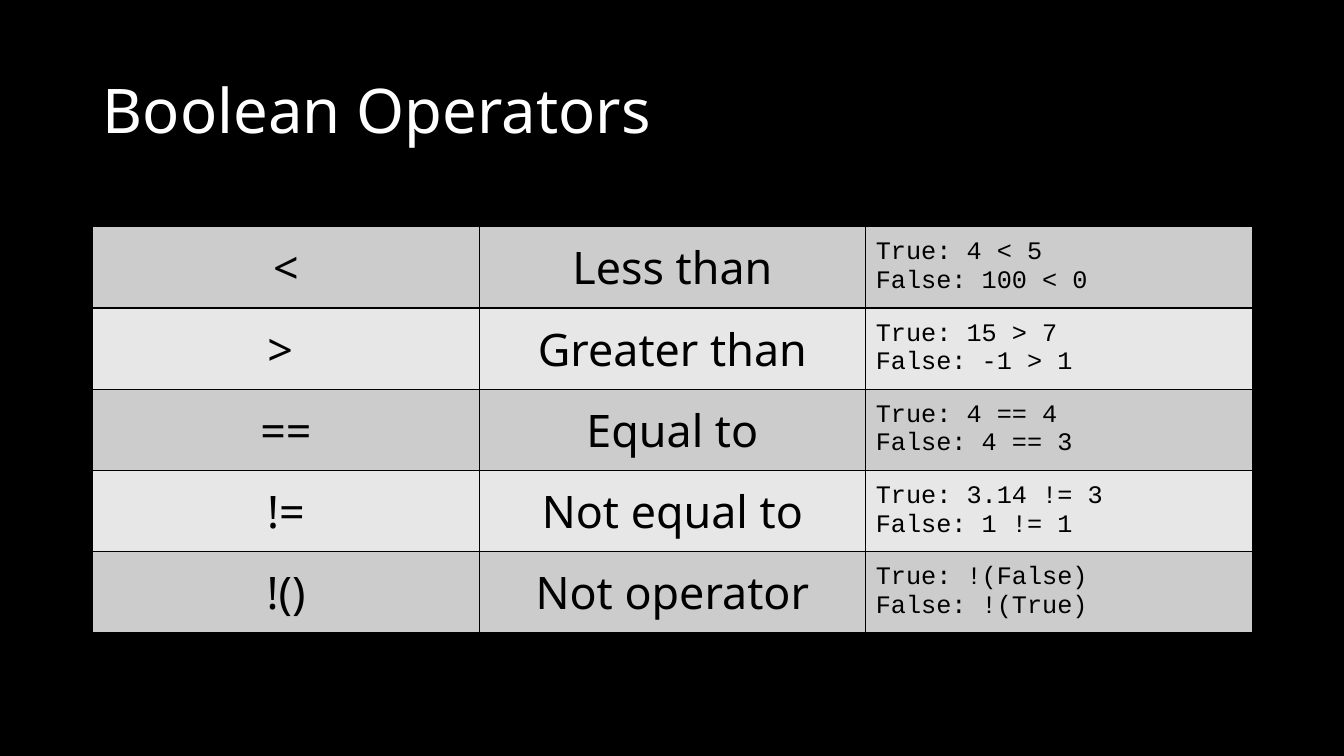
from lxml import etree
from pptx import Presentation
from pptx.dml.color import RGBColor
from pptx.enum.text import MSO_ANCHOR, PP_ALIGN
from pptx.oxml.ns import qn
from pptx.util import Inches, Pt

MIDDLE = MSO_ANCHOR.MIDDLE
LEFT, CENTER = PP_ALIGN.LEFT, PP_ALIGN.CENTER
BLACK, WHITE = "000000", "FFFFFF"
BAND_FILLS = ["CCCCCC", "E7E7E7"]
BORDER_WIDTH = Pt(1)

OPERATORS = [
    ("<", "Less than", "True: 4 < 5\nFalse: 100 < 0"),
    ("> ", "Greater than", "True: 15 > 7\nFalse: -1 > 1"),
    ("==", "Equal to", "True: 4 == 4\nFalse: 4 == 3"),
    ("!=", "Not equal to", "True: 3.14 != 3\nFalse: 1 != 1"),
    ("!()", "Not operator", "True: !(False)\nFalse: !(True)"),
]
COLUMN_FORMATS = [
    {"size": 32, "align": CENTER},
    {"size": 32, "align": CENTER},
    {"size": 18, "font": "Courier New"},
]


def write_text(text_frame, text, size, font="Noto Sans", color=BLACK, align=LEFT, line_spacing=None):
    text_frame.text = text
    for paragraph in text_frame.paragraphs:
        paragraph.alignment = align
        paragraph.line_spacing = line_spacing
        for run in paragraph.runs:
            run.font.name = font
            run.font.size = Pt(size)
            run.font.color.rgb = RGBColor.from_string(color)


def add_borders(cell, color):
    properties = cell._tc.get_or_add_tcPr()
    for side in ("a:lnL", "a:lnR", "a:lnT", "a:lnB"):
        line = etree.SubElement(properties, qn(side), w=str(BORDER_WIDTH))
        fill = etree.SubElement(line, qn("a:solidFill"))
        etree.SubElement(fill, qn("a:srgbClr"), val=color)


presentation = Presentation()
presentation.slide_width = Inches(13.33)
presentation.slide_height = Inches(7.5)
slide = presentation.slides.add_slide(presentation.slide_layouts[5])
slide.background.fill.solid()
slide.background.fill.fore_color.rgb = RGBColor.from_string(BLACK)

title = slide.shapes.title
title.left, title.top = Inches(0.92), Inches(0.4)
title.width, title.height = Inches(11.5), Inches(1.45)
title.text_frame.vertical_anchor = MIDDLE
write_text(title.text_frame, "Boolean Operators", size=44, color=WHITE, line_spacing=0.9)

table = slide.shapes.add_table(
    len(OPERATORS), len(COLUMN_FORMATS), Inches(0.92), Inches(2.25), Inches(11.5), Inches(4.03)
).table
table.first_row = False
table.horz_banding = False

for row_index, operator in enumerate(OPERATORS):
    for column_index, text in enumerate(operator):
        cell = table.cell(row_index, column_index)
        add_borders(cell, BLACK)
        cell.fill.solid()
        cell.fill.fore_color.rgb = RGBColor.from_string(BAND_FILLS[row_index % 2])
        cell.vertical_anchor = MIDDLE
        write_text(cell.text_frame, text, **COLUMN_FORMATS[column_index])

presentation.save("out.pptx")
